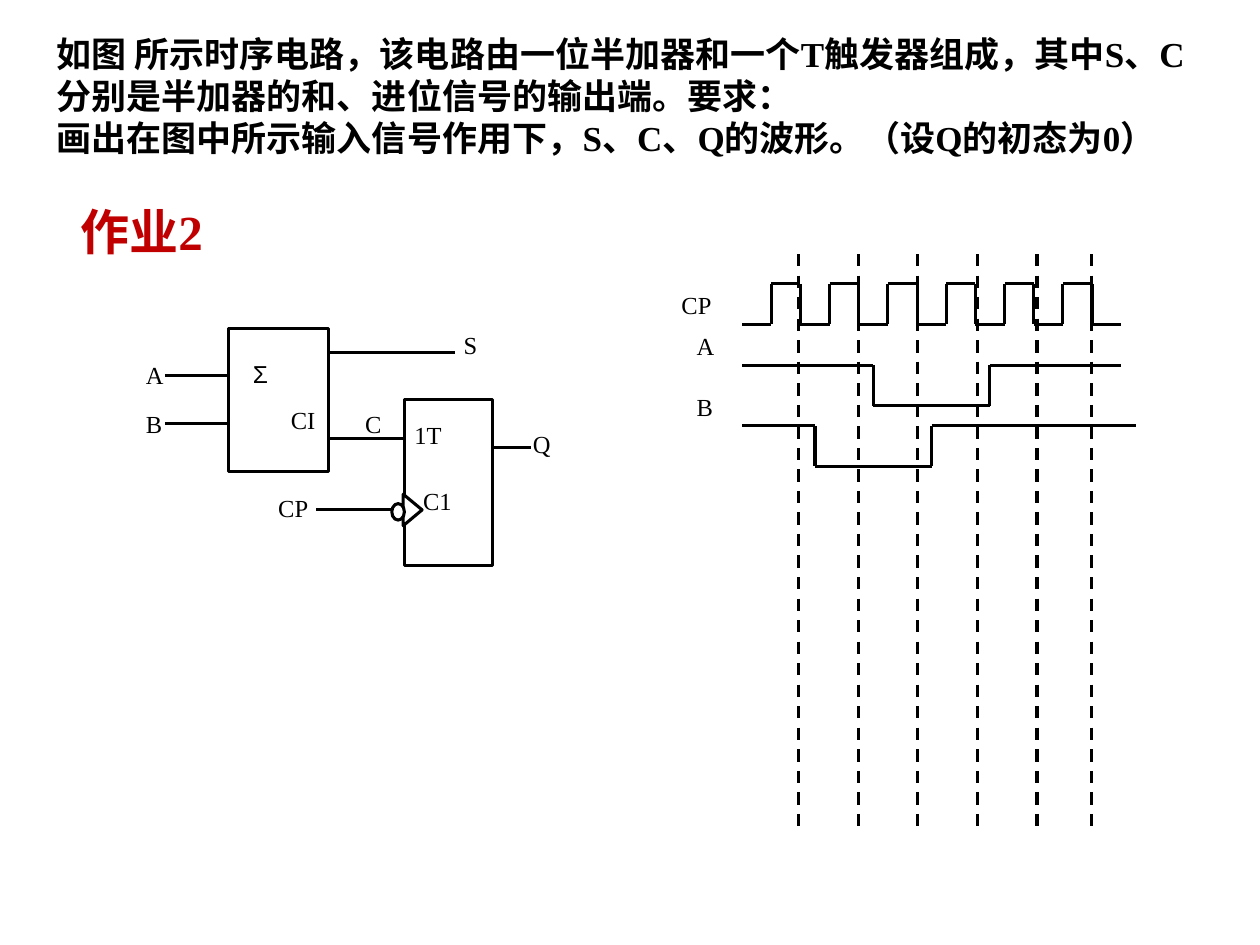
from itertools import pairwise

from lxml import etree
from pptx import Presentation
from pptx.dml.color import RGBColor
from pptx.enum.dml import MSO_LINE
from pptx.enum.shapes import MSO_CONNECTOR, MSO_SHAPE
from pptx.enum.text import MSO_AUTO_SIZE, PP_ALIGN
from pptx.oxml.ns import qn
from pptx.util import Pt

STRAIGHT = MSO_CONNECTOR.STRAIGHT
RECT, OVAL, TRIANGLE = MSO_SHAPE.RECTANGLE, MSO_SHAPE.OVAL, MSO_SHAPE.ISOSCELES_TRIANGLE
DASH = MSO_LINE.DASH
JUSTIFY, LEFT = PP_ALIGN.JUSTIFY, PP_ALIGN.LEFT
FIT_SHAPE = MSO_AUTO_SIZE.SHAPE_TO_FIT_TEXT

COLORS = {"ink": "000000", "paper": "FFFFFF", "heading": "C00000"}
LINE_WIDTH = 1.75
LABEL = {"name": "Times New Roman", "size": Pt(14), "bold": False}
PROBLEM = {"name": "Times New Roman", "size": Pt(20), "bold": True}
HEADING = {"name": "Times New Roman", "size": Pt(28), "bold": True}

WAVE_LEFT, HALF_PERIOD, SWING = 424.1, 16.66, 23.1


def rgb(key):
    return RGBColor.from_string(COLORS[key])


def add_text(slide, box, lines, font, color="ink", align=LEFT):
    sp = slide.shapes.add_textbox(*map(Pt, box))
    tf = sp.text_frame
    tf.word_wrap = True
    for i, line in enumerate(lines):
        p = tf.add_paragraph() if i else tf.paragraphs[0]
        p.alignment = align
        r = p.add_run()
        r.text = line
        for key, value in font.items():
            setattr(r.font, key, value)
        r.font.color.rgb = rgb(color)
    return sp


def add_label(slide, text, left, top, width=50.4, height=54.7, font_name="Times New Roman"):
    add_text(slide, (left, top, width, height), [text],
             {**LABEL, "name": font_name}, align=JUSTIFY)


def add_line(slide, x1, y1, x2, y2, dash=None):
    line = slide.shapes.add_connector(STRAIGHT, *map(Pt, (x1, y1, x2, y2)))
    line.line.color.rgb = rgb("ink")
    line.line.width = Pt(LINE_WIDTH)
    if dash:
        line.line.dash_style = dash
    etree.SubElement(line._element.spPr, qn("a:effectLst"))


def add_outline(slide, kind, box, filled=False, rotation=0):
    sp = slide.shapes.add_shape(kind, *map(Pt, box))
    sp.shadow.inherit = False
    sp.rotation = rotation
    if filled:
        sp.fill.solid()
        sp.fill.fore_color.rgb = rgb("paper")
    else:
        sp.fill.background()
    sp.line.color.rgb = rgb("ink")
    sp.line.width = Pt(LINE_WIDTH)


def add_wave(slide, high_y, is_high, edges):
    """Draw a logic signal that toggles at each inner edge, counted in half clock periods."""
    points = []
    for start, end in pairwise(edges):
        y = high_y if is_high else high_y + SWING
        points += [(WAVE_LEFT + HALF_PERIOD * n, y) for n in (start, end)]
        is_high = not is_high
    for (x1, y1), (x2, y2) in pairwise(points):
        add_line(slide, x1, y1, x2, y2)


def add_circuit(slide):
    add_outline(slide, RECT, (130.4, 188, 57.6, 81.4))
    add_outline(slide, RECT, (231, 228.2, 50.4, 95))
    wires = [(94.3, 130.4, 214.8), (94.3, 130.4, 242), (188, 260, 201.3),
             (188, 231, 250.6), (281.4, 303.2, 255.6), (180.7, 231, 291.3)]
    for x1, x2, y in wires:
        add_line(slide, x1, y, x2, y)
    add_outline(slide, TRIANGLE, (226.8, 286, 18, 10.8), filled=True, rotation=90)
    add_outline(slide, OVAL, (223.9, 287.8, 7.2, 9.4), filled=True)

    add_label(slide, "Σ", 137.5, 201.6, 79.2, font_name="Arial")
    labels = [("CI", 159.1, 228.2), ("A", 76.3, 202.3), ("B", 76.3, 230.4),
              ("C1", 234.7, 274.3), ("CP", 151.9, 278), ("1T", 229.7, 236.2),
              ("S", 257.8, 185), ("C", 201.6, 230.4), ("Q", 297.4, 241.9)]
    for text, left, top in labels:
        add_label(slide, text, left, top)


def add_timing(slide):
    signals = [("CP", 382.3, 162, 162.2, False, range(14)),
               ("A", 391, 185.8, 208.7, True, (0, 4.5, 8.5, 13)),
               ("B", 391, 220.3, 243.4, True, (0, 2.5, 6.5, 13.5))]
    for text, left, top, high_y, is_high, edges in signals:
        add_wave(slide, high_y, is_high, edges)
        add_label(slide, text, left, top, 58.3, 34.6)
    for x in [456.4 + 34.05 * i for i in range(5)] + [623.6]:
        add_line(slide, x, 145.2, x, 474.2, DASH)


def main():
    prs = Presentation()
    prs.slide_width, prs.slide_height = Pt(720), Pt(540)
    slide = prs.slides.add_slide(prs.slide_layouts[6])
    add_circuit(slide)
    add_timing(slide)
    problem = add_text(slide, (25.2, 15.1, 663.1, 103.7), [
        "如图 所示时序电路，该电路由一位半加器和一个T触发器组成，其中S、C分别是半加器的和、进位信号的输出端。要求：",
        "画出在图中所示输入信号作用下，S、C、Q的波形。（设Q的初态为0）",
    ], PROBLEM)
    problem.text_frame.auto_size = FIT_SHAPE
    add_text(slide, (38.9, 111.6, 121, 41.8), ["作业2"], HEADING, "heading")
    prs.save("out.pptx")


if __name__ == "__main__":
    main()
